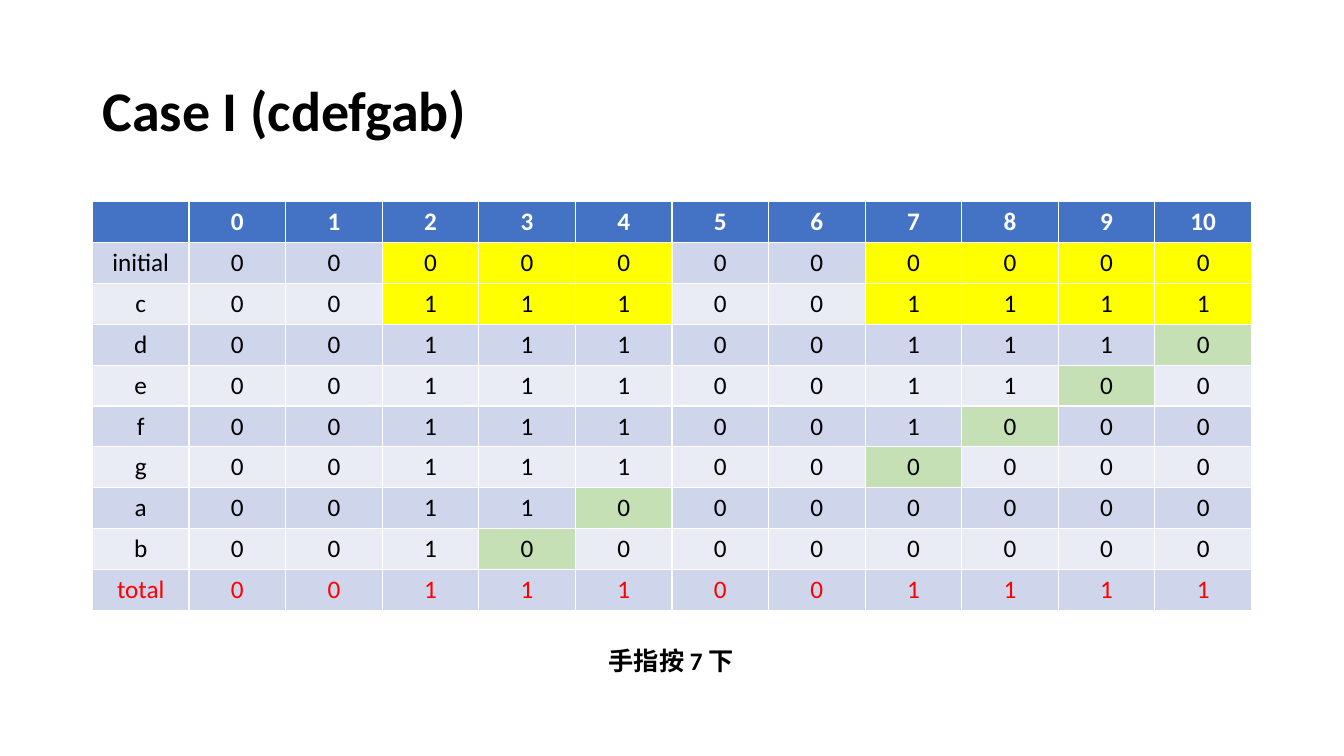
from pptx import Presentation
from pptx import util as u
from pptx.dml.color import RGBColor
from pptx.enum import text

HEADER, BAND_DARK, BAND_LIGHT = "4472C4", "CFD5EA", "E9EBF5"
PRESSED, RELEASED = "FFFF00", "C5E0B4"
BLACK, WHITE, RED = "000000", "FFFFFF", "FF0000"
LEFT, WIDTH = 2.33, 29.21


def rgb(hex_code):
    return RGBColor.from_string(hex_code)


class FingeringSlide:
    font = "Calibri"

    def __init__(self, deck):
        self.slide = deck.slides.add_slide(deck.slide_layouts[5])

    def add_wording(self, frame, wording, color, paragraph_format=None, **font_format):
        paragraph = frame.paragraphs[0]
        for name, value in (paragraph_format or {}).items():
            setattr(paragraph, name, value)
        run = paragraph.add_run()
        run.text = wording
        for name, value in {"name": self.font, **font_format}.items():
            setattr(run.font, name, value)
        run.font.color.rgb = rgb(color)

    def title(self, wording, left, top, width, height):
        heading = self.slide.shapes.title
        place = {"left": left, "top": top, "width": width, "height": height}
        for name, value in place.items():
            setattr(heading, name, u.Cm(value))
        frame = heading.text_frame
        frame.auto_size = text.MSO_AUTO_SIZE.NONE
        frame.vertical_anchor = text.MSO_ANCHOR.MIDDLE
        layout = {"alignment": text.PP_ALIGN.LEFT, "line_spacing": 0.9}
        self.add_wording(frame, wording, BLACK, layout, size=u.Pt(40), bold=True)

    def table(self, rows, left, top, width, row_height):
        columns = len(rows[0])
        grid = self.slide.shapes.add_table(
            len(rows), columns, u.Cm(left), u.Cm(top),
            u.Cm(width), u.Cm(row_height * len(rows))).table
        for column in grid.columns:
            column.width = u.Cm(width / columns)
        for r, row in enumerate(rows):
            for c, (wording, fill, color) in enumerate(row):
                cell = grid.cell(r, c)
                cell.fill.solid()
                cell.fill.fore_color.rgb = rgb(fill)
                if wording:
                    self.add_wording(cell.text_frame, wording, color,
                                     {"alignment": text.PP_ALIGN.CENTER},
                                     size=u.Pt(18), bold=r == 0)

    def caption(self, wording, left, top, width, height):
        box = self.slide.shapes.add_textbox(*map(u.Cm, (left, top, width, height)))
        box.text_frame.word_wrap = True
        box.text_frame.auto_size = text.MSO_AUTO_SIZE.SHAPE_TO_FIT_TEXT
        self.add_wording(box.text_frame, wording, BLACK, size=u.Pt(18), bold=True)


def fingering_rows():
    lit = [2, 3, 4, 7, 8, 9, 10]
    positions = range(11)
    rows = [[("", HEADER, WHITE)] + [(str(p), HEADER, WHITE) for p in positions]]
    for index, step in enumerate(["initial", *"cdefgab", "total"]):
        band = BAND_LIGHT if index % 2 else BAND_DARK
        color = RED if step == "total" else BLACK
        if step == "initial":
            active, marked, mark = [], lit, PRESSED
        elif step == "c":
            active, marked, mark = lit, lit, PRESSED
        elif step == "total":
            active, marked, mark = lit, [], band
        else:
            remaining = len(lit) - index + 1
            active, marked, mark = lit[:remaining], [lit[remaining]], RELEASED
        rows.append([(step, band, color)] + [
            (str(int(p in active)), mark if p in marked else band, color)
            for p in positions])
    return rows


def main():
    deck = Presentation()
    deck.slide_width, deck.slide_height = u.Cm(33.87), u.Cm(19.05)
    case = FingeringSlide(deck)
    case.title("Case I (cdefgab)", LEFT, 1.01, WIDTH, 3.68)
    case.table(fingering_rows(), LEFT, 5.08, WIDTH, 1.03)
    case.caption("手指按 7 下", 15.09, 16.13, 3.7, 1.03)
    deck.save("out.pptx")


if __name__ == "__main__":
    main()
